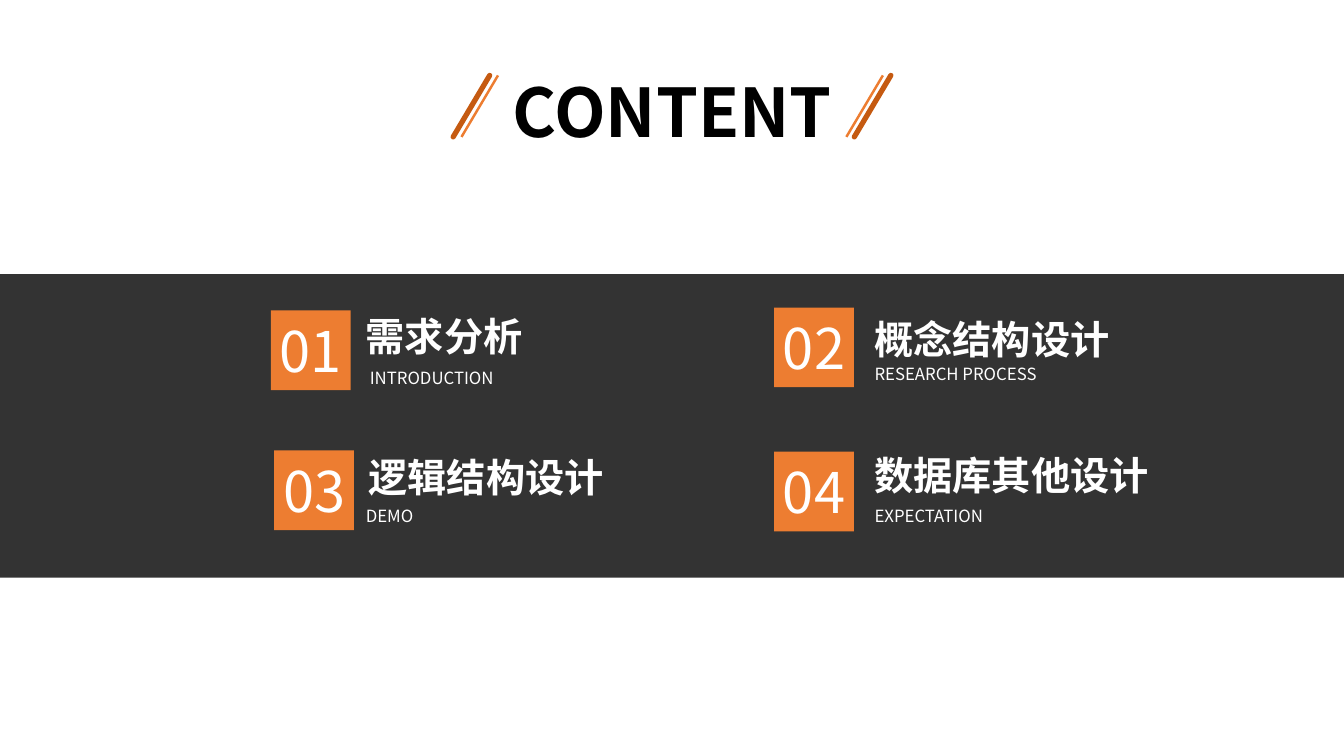
"""Build the contents slide: a title between slashes and four numbered topics."""
from lxml.etree import SubElement
from pptx import Presentation
from pptx.dml.color import RGBColor
from pptx.enum.shapes import MSO_CONNECTOR, MSO_SHAPE
from pptx.enum.text import MSO_ANCHOR, MSO_AUTO_SIZE, PP_ALIGN
from pptx.oxml.ns import qn
from pptx.util import Cm, Pt

TITLE = "CONTENT"
TOPICS = [
    {"number": ("01", 6.83, 7.82), "heading": ("需求分析", 8.97, 7.75),
     "caption": ("INTRODUCTION", 9.07, 9.14)},
    {"number": ("02", 19.51, 7.75), "heading": ("概念结构设计", 21.79, 7.82),
     "caption": ("RESEARCH PROCESS", 21.79, 9.04)},
    {"number": ("03", 6.91, 11.35), "heading": ("逻辑结构设计", 9.04, 11.3),
     "caption": ("DEMO", 8.97, 12.62)},
    {"number": ("04", 19.51, 11.38), "heading": ("数据库其他设计", 21.79, 11.23),
     "caption": ("EXPECTATION", 21.79, 12.62)},
]
SLASHES = [("thin", 12.55), ("thin", 22.25), ("thick", 22.45), ("thick", 12.34)]
SLASH_TOP, SLASH_BOTTOM, SLASH_RUN = 1.9, 3.45, 0.92
BAND = (-0.13, 6.91, 34, 7.65)
TITLE_BOX = (12.4, 1.65, 9.09, 2.31)
SIZES = {"number": (2.01, 2.01), "heading": (7.47, 1.45), "caption": (5, 0.76)}

THEME = {
    "font": "Noto Sans CJK SC",
    "band": "000000",
    "band_alpha": 80,
    "square": "ED7D31",
    "slash": {"thin": ("ED7D31", 1.75, "flat"), "thick": ("C55A11", 3.75, "rnd")},
    "title": {"size": 48, "color": "000000", "bold": True},
    "number": {"size": 40, "color": "FFFFFF", "bold": False},
    "heading": {"size": 28, "color": "FFFFFF", "bold": True},
    "caption": {"size": 12, "color": "FFFFFF", "bold": False},
}
CENTRED = {"margin_left": 0, "margin_right": 0, "margin_top": 0, "margin_bottom": 0}
FRAMES = {
    "title": {"vertical_anchor": MSO_ANCHOR.TOP, "word_wrap": False},
    "number": {"vertical_anchor": MSO_ANCHOR.MIDDLE, "word_wrap": False, **CENTRED},
    "heading": {"vertical_anchor": MSO_ANCHOR.MIDDLE, "word_wrap": True},
    "caption": {"vertical_anchor": MSO_ANCHOR.TOP, "word_wrap": False},
}


def set_all(target, values):
    for name, value in values.items():
        setattr(target, name, value)


def write(sp, text, role):
    style = THEME[role]
    tf = sp.text_frame
    set_all(tf, {"auto_size": MSO_AUTO_SIZE.NONE, **FRAMES[role]})
    p = tf.paragraphs[0]
    p.alignment = PP_ALIGN.CENTER if role in ("title", "number") else PP_ALIGN.LEFT
    p.line_spacing = 1.0
    r = p.add_run()
    r.text = text
    set_all(r.font, {"name": THEME["font"], "size": Pt(style["size"]),
                     "bold": style["bold"]})
    r.font.color.rgb = RGBColor.from_string(style["color"])
    SubElement(r.font._element, qn("a:ea"), typeface=THEME["font"])


def add_rect(s, box, color):
    sp = s.shapes.add_shape(MSO_SHAPE.RECTANGLE, *map(Cm, box))
    sp.shadow.inherit = False
    sp.fill.solid()
    sp.fill.fore_color.rgb = RGBColor.from_string(color)
    sp.line.fill.background()
    return sp


def add_slash(s, kind, x):
    color, width, cap = THEME["slash"][kind]
    ends = (x, SLASH_TOP, x - SLASH_RUN, SLASH_BOTTOM)
    cxn = s.shapes.add_connector(MSO_CONNECTOR.STRAIGHT, *map(Cm, ends))
    cxn.line.color.rgb = RGBColor.from_string(color)
    cxn.line.width = Pt(width)
    cxn.line._get_or_add_ln().set("cap", cap)
    SubElement(cxn._element.spPr, qn("a:effectLst"))


def add_topic(s, topic):
    for role, (text, x, y) in topic.items():
        box = (x, y, *SIZES[role])
        if role == "number":
            sp = add_rect(s, box, THEME["square"])
        else:
            sp = s.shapes.add_textbox(*map(Cm, box))
        write(sp, text, role)


def main():
    prs = Presentation()
    set_all(prs, {"slide_width": Cm(33.87), "slide_height": Cm(19.05)})
    s = prs.slides.add_slide(prs.slide_layouts[5])

    band = add_rect(s, BAND, THEME["band"])
    color = band.fill._xPr.find(f".//{qn('a:srgbClr')}")
    SubElement(color, qn("a:alpha"), val=str(THEME["band_alpha"] * 1000))

    title = s.shapes.title
    set_all(title, dict(zip(("left", "top", "width", "height"), map(Cm, TITLE_BOX))))
    write(title, TITLE, "title")

    for kind, x in SLASHES:
        add_slash(s, kind, x)
    for topic in TOPICS:
        add_topic(s, topic)
    prs.save("out.pptx")


if __name__ == "__main__":
    main()
